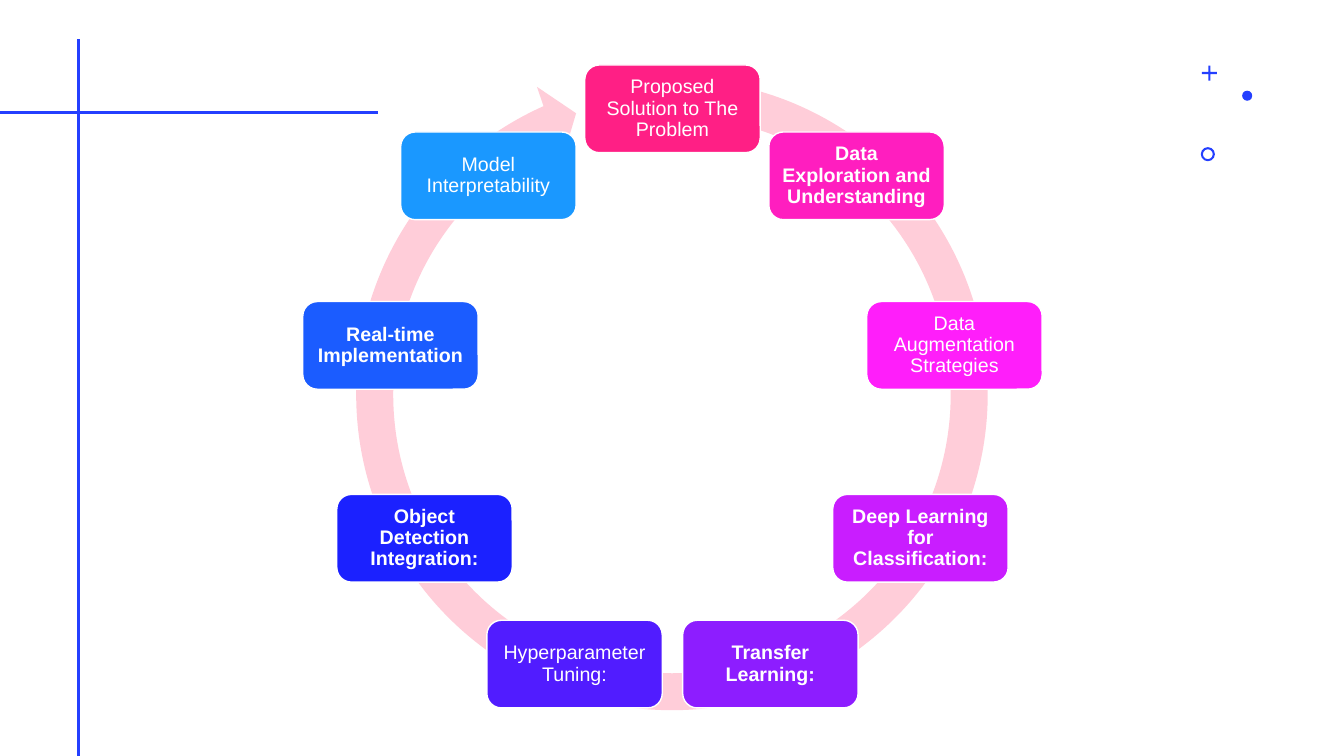
import math

import pptx
import pptx.dml.color
import pptx.enum.shapes
import pptx.enum.text
import pptx.oxml
import pptx.oxml.ns
import pptx.util

Inches = pptx.util.Inches
SHAPES = pptx.enum.shapes.MSO_SHAPE

ACCENT = "243FFF"
WHITE = "FFFFFF"
RING_PINK = "FFCDD9"

CENTER_X, CENTER_Y, RADIUS = 6.67, 3.92, 2.84
STEP_WIDTH, STEP_HEIGHT = 1.74, 0.87

STEPS = [
    ("Proposed Solution to The Problem", "FF1F85", False),
    ("Data Exploration and Understanding", "FF1EBF", True),
    ("Data Augmentation Strategies", "FF1EFA", False),
    ("Deep Learning for Classification:", "C91DFF", True),
    ("Transfer Learning:", "8D1DFF", True),
    ("Hyperparameter Tuning:", "511CFF", False),
    ("Object Detection Integration:", "1B21FF", True),
    ("Real-time Implementation", "1B5CFF", True),
    ("Model Interpretability", "1A98FF", False),
]


def color(hex_string):
    return pptx.dml.color.RGBColor.from_string(hex_string)


def add_filled_shape(slide, kind, left, top, width, height, fill, adjustments=(), outline=None):
    shape = slide.shapes.add_shape(
        kind, Inches(left), Inches(top), Inches(width), Inches(height)
    )
    shape.shadow.inherit = False
    for index, value in enumerate(adjustments):
        shape.adjustments[index] = value
    shape.fill.solid()
    shape.fill.fore_color.rgb = color(fill)
    if outline:
        shape.line.color.rgb = color(outline)
        shape.line.width = pptx.util.Pt(1)
    else:
        shape.line.fill.background()
    return shape


def add_rule(slide, start_x, start_y, end_x, end_y):
    connector = slide.shapes.add_connector(
        pptx.enum.shapes.MSO_CONNECTOR.STRAIGHT,
        Inches(start_x), Inches(start_y), Inches(end_x), Inches(end_y),
    )
    connector.line.color.rgb = color(ACCENT)
    connector.line.width = pptx.util.Pt(2)
    properties = connector._element.spPr
    properties.append(pptx.oxml.parse_xml(
        "<a:effectLst %s/>" % pptx.oxml.ns.nsdecls("a")
    ))


def write_text(shape, text, size=14, bold=False, font_color=WHITE, font_name="Arial", inset=0.06):
    frame = shape.text_frame
    frame.word_wrap = True
    frame.vertical_anchor = pptx.enum.text.MSO_ANCHOR.MIDDLE
    frame.margin_left = frame.margin_right = Inches(inset)
    frame.margin_top = frame.margin_bottom = Inches(inset)
    paragraph = frame.paragraphs[0]
    paragraph.alignment = pptx.enum.text.PP_ALIGN.CENTER
    paragraph.line_spacing = 0.9
    run = paragraph.add_run()
    run.text = text
    run.font.name = font_name
    run.font.size = pptx.util.Pt(size)
    run.font.bold = bold
    run.font.color.rgb = color(font_color)


def add_decorations(slide):
    add_rule(slide, 0.78, 0.39, 0.78, 7.5)
    add_rule(slide, 0, 1.12, 3.75, 1.12)
    add_filled_shape(slide, SHAPES.CROSS, 11.92, 0.65, 0.15, 0.15, ACCENT, [0.43])
    add_filled_shape(slide, SHAPES.OVAL, 12.32, 0.9, 0.1, 0.1, ACCENT)
    add_filled_shape(slide, SHAPES.DONUT, 11.91, 1.46, 0.14, 0.14, ACCENT, [0.15])


def add_cycle(slide):
    add_filled_shape(
        slide, SHAPES.CIRCULAR_ARROW, 3.33, 0.58, 6.67, 6.67, RING_PINK,
        [0.055, 3.307, 147.408, 168.225, 0.058],
    )
    for index, (text, fill, bold) in enumerate(STEPS):
        angle = math.tau * index / len(STEPS)
        left = CENTER_X + RADIUS * math.sin(angle) - STEP_WIDTH / 2
        top = CENTER_Y - RADIUS * math.cos(angle) - STEP_HEIGHT / 2
        step = add_filled_shape(
            slide, SHAPES.ROUNDED_RECTANGLE, left, top, STEP_WIDTH, STEP_HEIGHT,
            fill, outline=WHITE,
        )
        write_text(step, text, bold=bold)


def main():
    presentation = pptx.Presentation()
    presentation.slide_width = Inches(13.33)
    presentation.slide_height = Inches(7.5)
    slide = presentation.slides.add_slide(presentation.slide_layouts[6])
    add_decorations(slide)
    add_cycle(slide)
    presentation.save("out.pptx")


if __name__ == "__main__":
    main()
